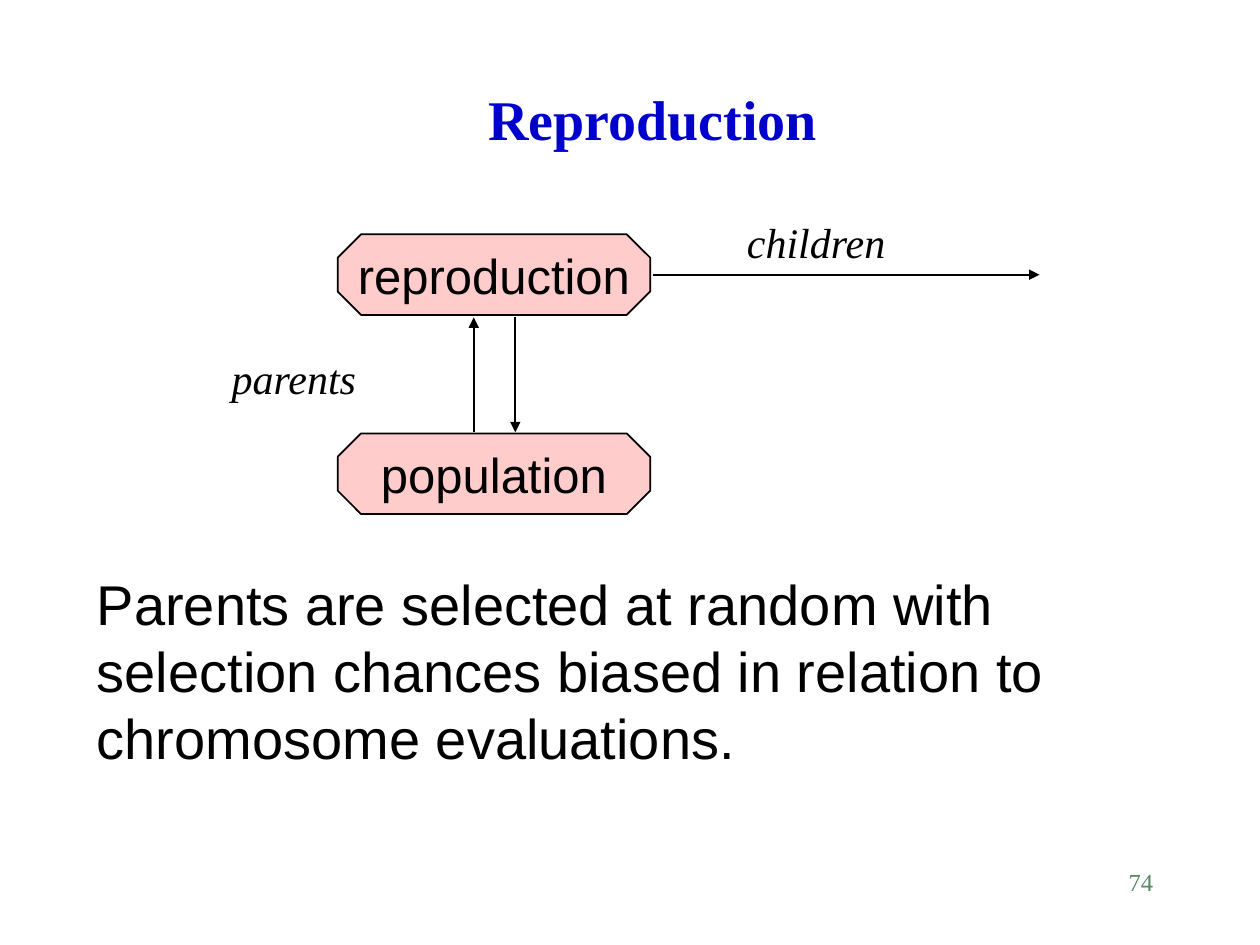
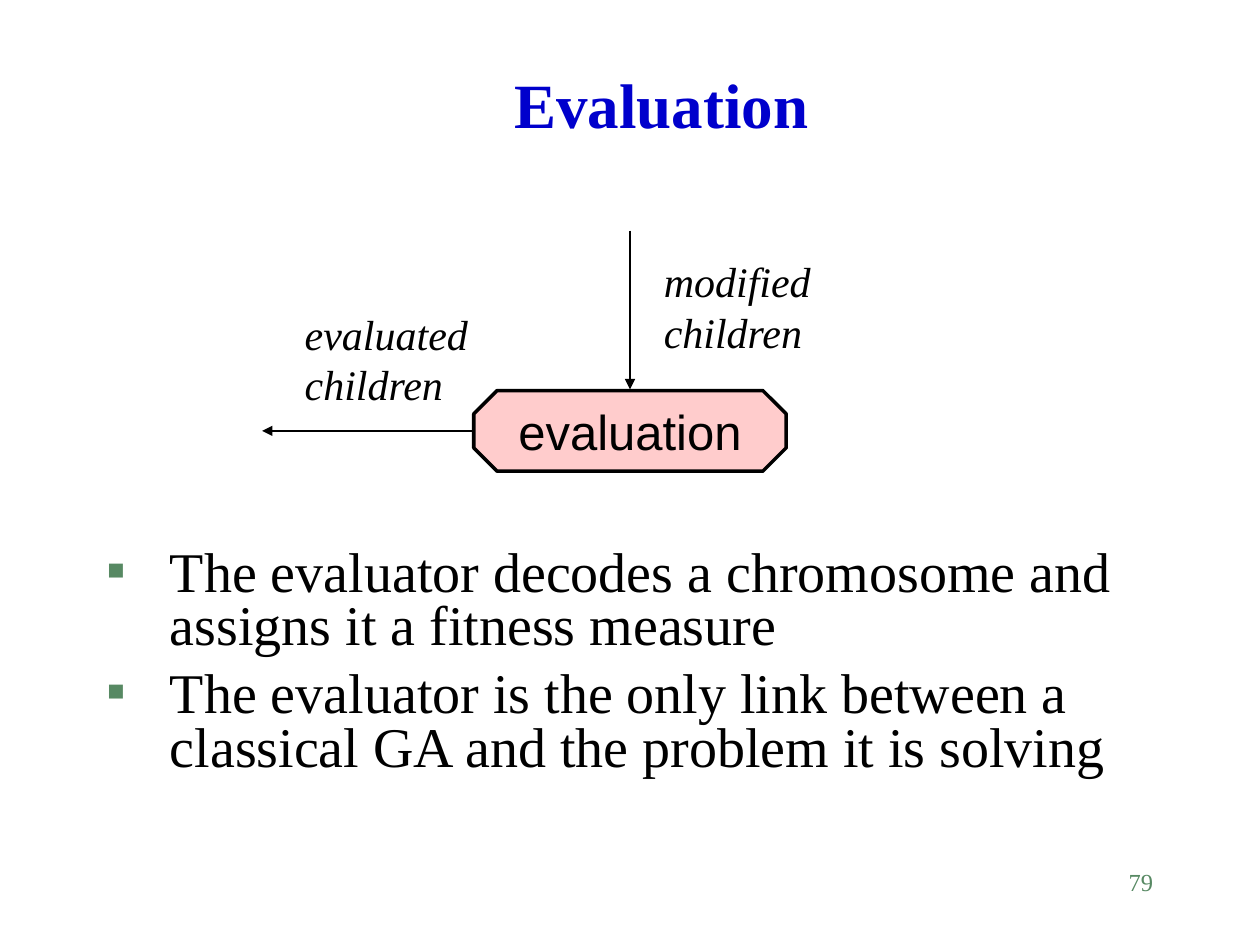
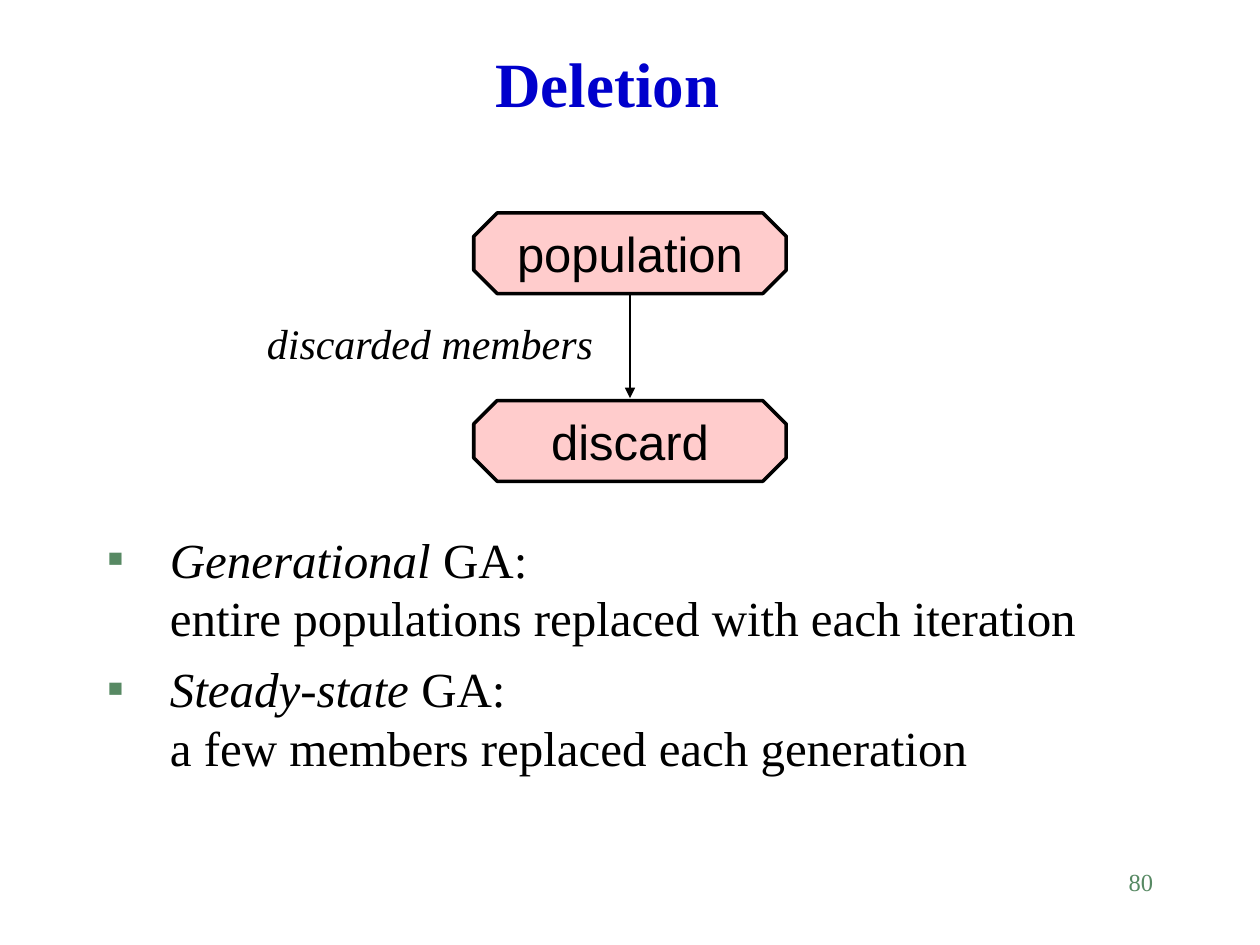
from lxml import etree
from pptx import Presentation
from pptx.dml.color import RGBColor
from pptx.enum.shapes import MSO_CONNECTOR, MSO_SHAPE
from pptx.enum.text import MSO_ANCHOR, PP_ALIGN
from pptx.oxml.ns import qn
from pptx.util import Inches, Pt

BLUE = RGBColor(0x00, 0x00, 0xCC)
GREEN = RGBColor(0x57, 0x89, 0x63)
PINK = RGBColor(0xFF, 0xCC, 0xCC)
BLACK = RGBColor(0x00, 0x00, 0x00)
SERIF = "Times New Roman"
SANS = "Arial"
OCTAGON = MSO_SHAPE.OCTAGON
STRAIGHT = MSO_CONNECTOR.STRAIGHT
LEFT, CENTER, RIGHT = PP_ALIGN.LEFT, PP_ALIGN.CENTER, PP_ALIGN.RIGHT
TOP, MIDDLE, BOTTOM = MSO_ANCHOR.TOP, MSO_ANCHOR.MIDDLE, MSO_ANCHOR.BOTTOM
BLANK_LAYOUT = 6

WIDTH, HEIGHT = 10, 7.5
STAGE_WIDTH, STAGE_HEIGHT = 2.48, 0.64
CENTER_X = WIDTH / 2


def style(paragraph, size, color=BLACK, face=SERIF, align=LEFT, bold=False, italic=None):
    paragraph.alignment = align
    font = paragraph.font
    font.name, font.size, font.bold, font.italic = face, Pt(size), bold, italic
    font.color.rgb = color


def add_text(slide, box, lines, size, wrap=True, anchor=TOP, **look):
    frame = slide.shapes.add_textbox(*map(Inches, box)).text_frame
    frame.word_wrap = wrap
    frame.vertical_anchor = anchor
    frame.text = lines
    for paragraph in frame.paragraphs:
        style(paragraph, size, **look)


def add_label(slide, left, top, width, lines):
    height = 0.1 + 0.4 * len(lines.split("\n"))
    add_text(slide, (left, top, width, height), lines, 24, wrap=False, italic=True)


def add_stage(slide, center_x, top, name, outline=2):
    box = (center_x - STAGE_WIDTH / 2, top, STAGE_WIDTH, STAGE_HEIGHT)
    stage = slide.shapes.add_shape(OCTAGON, *map(Inches, box))
    stage.adjustments[0] = 0.29
    stage.shadow.inherit = False
    stage.fill.solid()
    stage.fill.fore_color.rgb = PINK
    stage.line.color.rgb = BLACK
    stage.line.width = Pt(outline)
    frame = stage.text_frame
    frame.word_wrap = False
    frame.vertical_anchor = MIDDLE
    frame.text = name
    style(frame.paragraphs[0], 28, face=SANS, align=CENTER)


def add_arrow(slide, start, end):
    arrow = slide.shapes.add_connector(STRAIGHT, *map(Inches, start + end))
    arrow.line.color.rgb = BLACK
    arrow.line.width = Pt(1)
    etree.SubElement(arrow.line._get_or_add_ln(), qn("a:tailEnd"), type="triangle")
    etree.SubElement(arrow._element.spPr, qn("a:effectLst"))


def add_bullet_mark(paragraph):
    properties = paragraph._p.get_or_add_pPr()
    properties.set("marL", str(Inches(0.5)))
    properties.set("indent", str(-Inches(0.5)))
    color = etree.SubElement(properties, qn("a:buClr"))
    etree.SubElement(color, qn("a:srgbClr"), val=str(GREEN))
    etree.SubElement(properties, qn("a:buFont"), typeface=SERIF)
    etree.SubElement(properties, qn("a:buChar"), char="▪")


def add_bullets(slide, top, items, size, gap, spacing=1.0):
    box = (0.75, top, 8.58, 6.58 - top)
    frame = slide.shapes.add_textbox(*map(Inches, box)).text_frame
    frame.word_wrap = True
    for index, (term, *lines) in enumerate(items):
        paragraph = frame.add_paragraph() if index else frame.paragraphs[0]
        add_bullet_mark(paragraph)
        style(paragraph, size)
        paragraph.line_spacing = spacing
        if index:
            paragraph.space_before = Pt(gap)
        if term:
            run = paragraph.add_run()
            run.text = term
            run.font.italic = True
        for number, line in enumerate(lines):
            if number:
                paragraph.add_line_break()
            paragraph.add_run().text = line


def start_slide(deck, title, number, title_left, title_bottom, title_size=36):
    slide = deck.slides.add_slide(deck.slide_layouts[BLANK_LAYOUT])
    add_text(slide, (7.17, 6.83, 2.08, 0.5), number, 14, color=GREEN, align=RIGHT)
    add_text(slide, (title_left, 0.42, 8.5, title_bottom - 0.42), title, title_size,
             anchor=BOTTOM, color=BLUE, align=CENTER, bold=True)
    return slide


def build_reproduction(deck):
    slide = start_slide(deck, "Reproduction", "74", 0.93, 1.25, 32)
    center_x, upper, lower = 3.92, 1.86, 3.44
    add_stage(slide, center_x, upper, "reproduction", 1)
    add_stage(slide, center_x, lower, "population", 1)
    upper_edge, lower_edge = upper + STAGE_HEIGHT + 0.02, lower - 0.01
    axis = upper + STAGE_HEIGHT / 2
    add_arrow(slide, (center_x + STAGE_WIDTH / 2 + 0.02, axis), (8.25, axis))
    add_arrow(slide, (3.76, lower_edge), (3.76, upper_edge))
    add_arrow(slide, (4.09, upper_edge), (4.09, lower_edge))
    add_label(slide, 1.74, 2.75, 1.2, "parents")
    add_label(slide, 5.83, 1.67, 1.31, "children")
    add_text(slide, (0.67, 4.47, 8.66, 1.7),
             "Parents are selected at random with selection chances biased "
             "in relation to chromosome evaluations.", 32, face=SANS)


def build_evaluation(deck):
    slide = start_slide(deck, "Evaluation", "79", 1, 1.17)
    stage_top = 3.1
    axis = stage_top + STAGE_HEIGHT / 2
    add_bullets(slide, 4.31, [
        ("", "The evaluator decodes a chromosome and assigns it a fitness measure"),
        ("", "The evaluator is the only link between a classical GA "
             "and the problem it is solving"),
    ], 32, 8, spacing=0.8)
    add_stage(slide, CENTER_X, stage_top, "evaluation")
    add_arrow(slide, (CENTER_X, 1.83), (CENTER_X, stage_top - 0.01))
    add_arrow(slide, (CENTER_X - STAGE_WIDTH / 2, axis), (2.08, axis))
    add_label(slide, 2.32, 2.4, 1.6, "evaluated\nchildren")
    add_label(slide, 5.17, 1.98, 1.5, "modified\nchildren")


def build_deletion(deck):
    slide = start_slide(deck, "Deletion", "80", 0.57, 1)
    upper, lower = 1.69, 3.18
    add_bullets(slide, 4.15, [
        ("Generational", " GA:", "entire populations replaced with each iteration"),
        ("Steady-state", " GA:", "a few members replaced each generation"),
    ], 28, 7)
    add_stage(slide, CENTER_X, upper, "population")
    add_stage(slide, CENTER_X, lower, "discard")
    add_arrow(slide, (CENTER_X, upper + STAGE_HEIGHT), (CENTER_X, lower - 0.02))
    add_label(slide, 2.02, 2.47, 2.8, "discarded members")


def main():
    deck = Presentation()
    deck.slide_width, deck.slide_height = Inches(WIDTH), Inches(HEIGHT)
    build_reproduction(deck)
    build_evaluation(deck)
    build_deletion(deck)
    deck.save("out.pptx")


if __name__ == "__main__":
    main()
